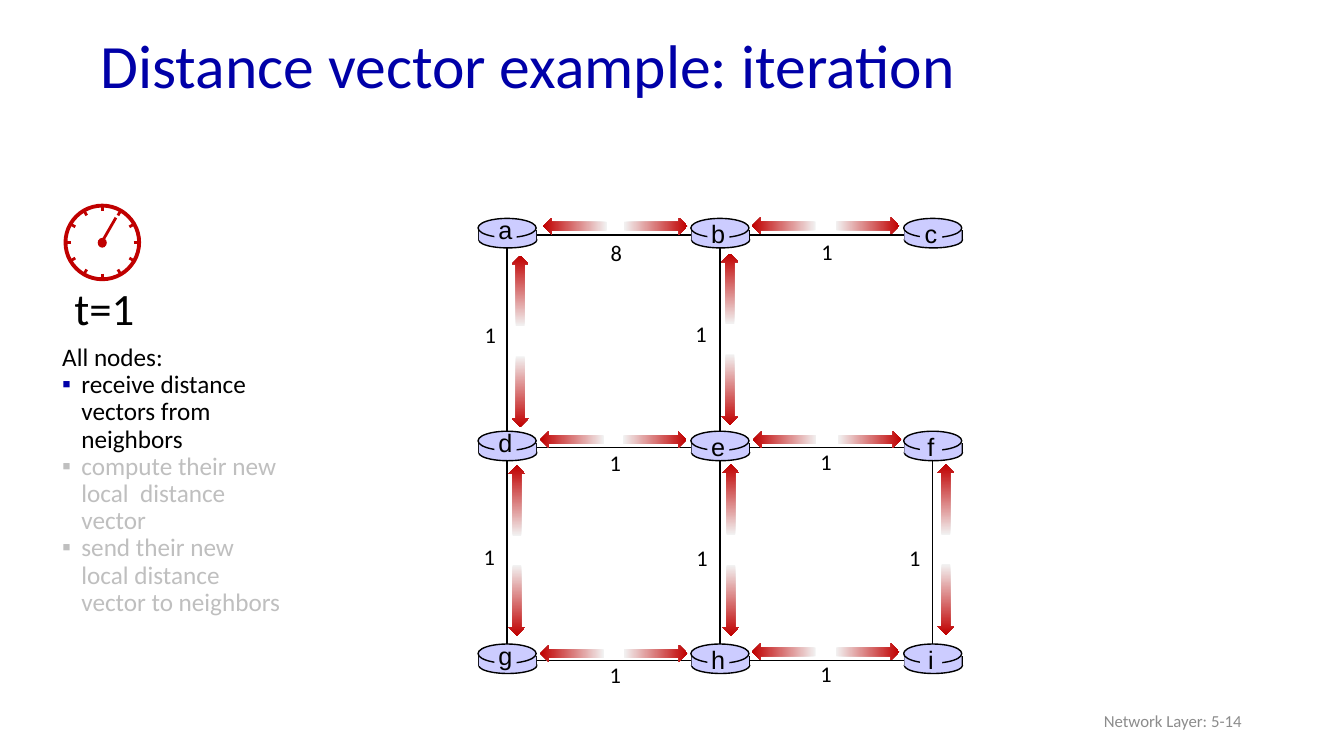
from math import cos, pi, sin

from lxml import etree
from pptx import Presentation
from pptx.dml.color import RGBColor
from pptx.enum import shapes, text
from pptx.oxml import ns
from pptx.util import Pt

BLUE = RGBColor(0x00, 0x00, 0xA8)
BLACK = RGBColor(0x00, 0x00, 0x00)
RED = RGBColor(0xC0, 0x00, 0x00)
PALE = RGBColor(0xF2, 0xF2, 0xF2)
LILAC = RGBColor(0xCC, 0xCC, 0xFF)
GREY = RGBColor(0xBF, 0xBF, 0xBF)
SMOKE = RGBColor(0x8C, 0x8C, 0x8C)

# Content
TITLE = "Distance vector example: iteration"
FOOT = "Network Layer: 5-14"
CLOCK = "t=1"
# Text, text colour, bullet colour
STEPS = [
    ("All nodes:", BLACK, None),
    ("receive distance vectors from neighbors", BLACK, BLUE),
    ("compute their new local  distance vector", GREY, GREY),
    ("send their new local distance vector to neighbors", GREY, GREY),
]
NODES = ["abc", "def", "ghi"]
# Ends, cost, cost offset (x, y), arrow centres along the link, arrow shift off it
LINKS = [
    ("ab", "8", (67, -0.7), (48.6, 106.2), -6.2),
    ("bc", "1", (65.5, -1.4), (45.7, 105.5), -6.5),
    ("de", "1", (66.2, -2.2), (46.5, 105.5), -5.8),
    ("ef", "1", (64.8, -2.9), (46.5, 107), -5.8),
    ("gh", "1", (66.2, -2.9), (46.5, 106.2), -5),
    ("hi", "1", (64.8, -3.6), (45.7, 105.5), -6.2),
    ("ad", "1", (-23, 58.3), (40, 112), 9.4),
    ("be", "1", (-24.5, 57.6), (38.5, 110.5), 7.2),
    ("dg", "1", (-23.8, 64.8), (37.8, 109), 7),
    ("eh", "1", (-23.8, 65.5), (37.1, 109), 7.9),
    ("fi", "1", (-23.8, 65.5), (37.1, 108.4), 9.4),
]

# Node grid
LEFT, TOP, STEP = 362.2, 167.8, 152
SPOT = {name: (LEFT + col * STEP, TOP + row * STEP)
        for row, names in enumerate(NODES) for col, name in enumerate(names)}

deck = Presentation()
deck.slide_width, deck.slide_height = Pt(960), Pt(540)
slide = deck.slides.add_slide(deck.slide_layouts[6])
page = slide.shapes
KIND = shapes.MSO_SHAPE


def write(x, y, w, h, lines, size, color=BLACK, font="Calibri", align=None,
          mid=False, wrap=True, lead=None, home=page):
    """Lines are a string or tuples of text, colour and bullet colour."""
    frame = home.add_textbox(Pt(x), Pt(y), Pt(w), Pt(h)).text_frame
    frame.word_wrap = wrap
    frame.vertical_anchor = text.MSO_ANCHOR.MIDDLE if mid else text.MSO_ANCHOR.TOP
    if isinstance(lines, str):
        lines = [(lines, color, None)]
    for num, (words, tint, dot) in enumerate(lines):
        para = frame.add_paragraph() if num else frame.paragraphs[0]
        para.alignment, para.line_spacing = align, lead
        run = para.add_run()
        run.text = words
        run.font.size, run.font.name = Pt(size), font
        run.font.color.rgb = tint
        if dot is not None:
            mark(para, dot)


def mark(para, color):
    props = para._p.get_or_add_pPr()
    props.set("marL", str(Pt(13.7)))
    props.set("indent", str(Pt(-13.7)))
    paint = etree.SubElement(props, ns.qn("a:buClr"))
    etree.SubElement(paint, ns.qn("a:srgbClr"), val=str(color))
    etree.SubElement(props, ns.qn("a:buFont"), typeface="Arial")
    etree.SubElement(props, ns.qn("a:buChar"), char="▪")


def draw(kind, x, y, w, h, fill=None, line=None, width=1, home=page):
    form = home.add_shape(kind, Pt(x), Pt(y), Pt(w), Pt(h))
    form.shadow.inherit = False
    if fill is None:
        form.fill.background()
    else:
        form.fill.solid()
        form.fill.fore_color.rgb = fill
    if line is None:
        form.line.fill.background()
    else:
        form.line.color.rgb, form.line.width = line, Pt(width)
    return form


def rule(x1, y1, x2, y2, color=BLACK, width=1, home=page):
    line = home.add_connector(shapes.MSO_CONNECTOR.STRAIGHT,
                              Pt(x1), Pt(y1), Pt(x2), Pt(y2))
    line.line.color.rgb, line.line.width = color, Pt(width)
    etree.SubElement(line._element.spPr, ns.qn("a:effectLst"))


def arrow(x, y, size, turn):
    form = draw(KIND.RIGHT_ARROW, x - size / 2, y - 6.1, size, 12.2)
    form.fill.gradient()
    form.fill.gradient_angle = 0
    for stop, color, place in zip(form.fill.gradient_stops, (PALE, RED), (0, 1)):
        stop.color.rgb, stop.position = color, place
    form.rotation = turn


def router(name, x, y):
    home = page.add_group_shape().shapes
    draw(KIND.OVAL, x - 20.2, y - 2.2, 41.5, 11.5, LILAC, BLACK, home=home)
    for side in (x - 20.2, x + 21):
        rule(side, y - 3.3, side, y + 4, home=home)
    draw(KIND.RECTANGLE, x - 20.2, y - 3.3, 41, 7.2, LILAC, home=home)
    draw(KIND.OVAL, x - 20.7, y - 11.8, 41.5, 13.7, LILAC, BLACK, home=home)
    draw(KIND.RECTANGLE, x - 9, y - 8.2, 15.8, 14.4, LILAC, home=home)
    lift = 18 if x == LEFT else 15.2
    write(x - 13.5, y - lift, 24.5, 28.8, name, 18, font="Arial",
          align=text.PP_ALIGN.CENTER, wrap=False, home=home)


# Title, footer and steps
write(64.8, 13.7, 828, 70.6, TITLE, 44, BLUE, mid=True, lead=0.9)
write(678.2, 500.4, 216, 28.8, FOOT, 12, SMOKE, align=text.PP_ALIGN.RIGHT, mid=True)
write(37.4, 242.6, 172.8, 203.8, STEPS, 18, lead=0.9)

# Clock
dial = page.add_group_shape().shapes
write(46.1, 197.3, 58.3, 46.1, CLOCK, 32, wrap=False, home=dial)
MX, MY = 73.1, 173.2
draw(KIND.OVAL, MX - 26.3, MY - 26.3, 52.6, 52.6, None, RED, 2.75, dial)
for hour in range(12):
    dx, dy = cos(hour * pi / 6), sin(hour * pi / 6)
    rule(MX + 22.3 * dx, MY + 22.3 * dy, MX + 26.9 * dx, MY + 26.9 * dy, RED, 2, dial)
draw(KIND.OVAL, MX - 3.3, MY - 3.3, 6.5, 7, RED, home=dial)
rule(82.8, 155.5, 72, 174.2, RED, 2, dial)

# Network
for ends, *_ in LINKS:
    rule(*SPOT[ends[0]], *SPOT[ends[1]])
for name, spot in SPOT.items():
    router(name, *spot)

# Costs and message arrows
for ends, cost, (dx, dy), along, off in LINKS:
    x, y = SPOT[ends[0]]
    flat = y == SPOT[ends[1]][1]
    write(x + dx, y + dy, 23.4, 26.6, cost, 16)
    for gap, turn in zip(along, (180, 0) if flat else (270, 90)):
        if flat:
            arrow(x + gap, y + off, 45.4, turn)
        else:
            arrow(x + off, y + gap, 50.4, turn)

deck.save("out.pptx")
